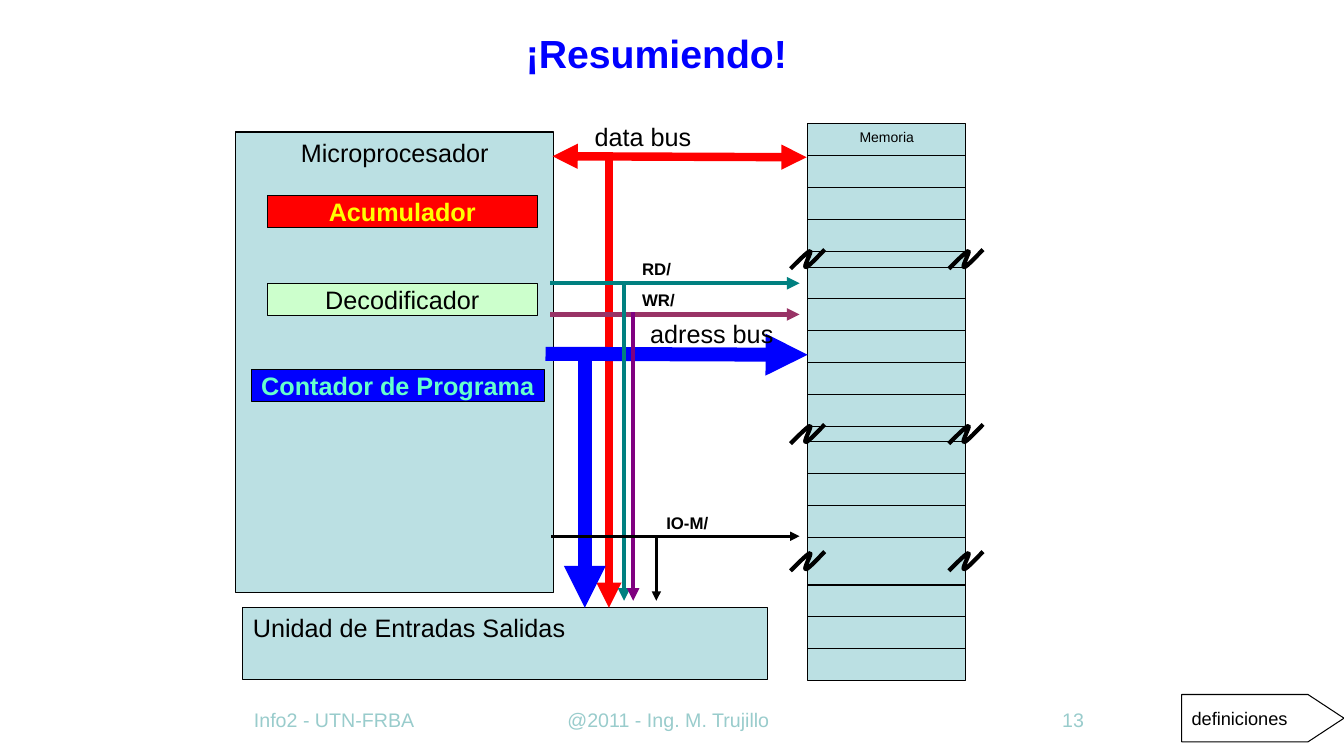
from lxml import etree
from pptx import Presentation
from pptx.dml.color import RGBColor
from pptx.enum.shapes import MSO_CONNECTOR, MSO_SHAPE
from pptx.enum.text import MSO_ANCHOR, MSO_AUTO_SIZE, PP_ALIGN
from pptx.oxml.ns import qn
from pptx.util import Inches, Pt

LEFT, CENTER, RIGHT = PP_ALIGN.LEFT, PP_ALIGN.CENTER, PP_ALIGN.RIGHT
TOP, MIDDLE, BOTTOM = MSO_ANCHOR.TOP, MSO_ANCHOR.MIDDLE, MSO_ANCHOR.BOTTOM
RECTANGLE, PENTAGON = MSO_SHAPE.RECTANGLE, MSO_SHAPE.PENTAGON
STRAIGHT = MSO_CONNECTOR.STRAIGHT

COLORS = {
    "black": "000000", "blue": "0000FF", "red": "FF0000", "yellow": "FFFF00",
    "panel": "BBE0E3", "mint": "CCFFCC", "aqua": "66FFCC", "footer": "99CCCC",
    "teal": "008080", "plum": "993366", "purple": "800080",
}

TITLE = ("¡Resumiendo!", (4.78, 0.24, 3.46, 0.57))
MEMORY = (8.01, 1.23, 1.57, 5.52)

# text, box, fill, format, alignment, anchor
BOXES = [
    ("Memoria", MEMORY, "panel", {"size": 10}, CENTER, TOP),
    ("Unidad de Entradas Salidas", (2.41, 6.03, 5.2, 0.71), "panel", {"size": 18}, LEFT, TOP),
    ("Microprocesador", (2.34, 1.31, 3.15, 4.57), "panel", {"size": 18}, CENTER, TOP),
    ("Acumulador", (2.65, 1.94, 2.68, 0.32), "red",
     {"size": 18, "bold": True, "color": "yellow"}, CENTER, MIDDLE),
    ("Decodificador", (2.65, 2.81, 2.68, 0.32), "mint", {"size": 18}, CENTER, MIDDLE),
    ("Contador de Programa", (2.49, 3.67, 2.91, 0.31), "blue",
     {"size": 18, "bold": True, "color": "aqua"}, CENTER, MIDDLE),
]

# start, end, color, width, arrowhead at both ends
BUSES = [
    ((6.04, 1.55), (6.04, 6.03), "red", 6, False),
    ((5.48, 1.55), (8.0, 1.56), "red", 6, True),
    ((5.48, 3.51), (8.01, 3.52), "blue", 10, False),
    ((5.8, 3.59), (5.8, 6.03), "blue", 10, False),
    ((5.48, 2.81), (7.93, 2.81), "teal", 3, False),
    ((5.48, 3.12), (7.93, 3.12), "plum", 3, False),
    ((6.19, 2.81), (6.19, 5.96), "teal", 3, False),
    ((6.28, 3.12), (6.28, 5.96), "purple", 3, False),
    ((5.48, 5.32), (7.93, 5.32), "black", 2.25, False),
    ((6.51, 5.32), (6.51, 5.96), "black", 2.25, False),
]

# lines of text, box, format, alignment, anchor
LABELS = [
    (["data bus"], (5.8, 1.15, 1.5, 0.4), {"size": 18}, LEFT, TOP),
    (["adress bus"], (6.35, 3.11, 1.5, 0.4), {"size": 18}, LEFT, TOP),
    (["RD/", "WR/"], (6.27, 2.52, 1.1, 0.62), {"size": 12, "bold": True}, LEFT, TOP),
    (["IO-M/"], (6.51, 5.04, 1.42, 0.31), {"size": 12, "bold": True}, LEFT, TOP),
    (["Info2 - UTN-FRBA"], (2.42, 6.87, 2.02, 0.44),
     {"size": 14, "color": "footer"}, LEFT, BOTTOM),
    (["@2011 - Ing. M. Trujillo"], (5.08, 6.87, 3.1, 0.44),
     {"size": 14, "color": "footer"}, CENTER, BOTTOM),
    (["13"], (8.83, 6.87, 2.02, 0.44), {"size": 14, "color": "footer"}, RIGHT, BOTTOM),
]

# Memory height is 35 half cells; each break mark fills one half cell
HALF_CELLS = 35
DIVIDERS = [2, 4, 6, 8, 9, 11, 13, 15, 17, 19, 20, 22, 24, 26, 29, 31, 33]
BREAKS = [8, 19, 27]
CELL_BLOCK = (20, 26)
BREAK_SIZE = (0.31, 0.16)
# Break mark as fractions of its width and height: start, then cubic curves
BREAK_START = (0, 1)
BREAK_CURVES = [
    ((0.26, 0.5), (0.52, 0), (0.58, 0)),
    ((0.65, 0), (0.35, 1), (0.44, 1)),
    ((0.52, 1), (0.9, 0.19), (1, 0)),
]


def rgb(name):
    return RGBColor.from_string(COLORS[name])


def inches(values):
    return [Inches(value) for value in values]


def write(shape, lines, style, alignment, anchor):
    frame = shape.text_frame
    settings = {"word_wrap": True, "auto_size": MSO_AUTO_SIZE.NONE, "vertical_anchor": anchor,
                "margin_left": Inches(0.1), "margin_right": Inches(0.1),
                "margin_top": Inches(0.05), "margin_bottom": Inches(0.05)}
    for name, value in settings.items():
        setattr(frame, name, value)
    font_format = {"name": "Arial", "size": Pt(style["size"]), "bold": style.get("bold", False)}
    for index, line in enumerate(lines):
        paragraph = frame.add_paragraph() if index else frame.paragraphs[0]
        paragraph.text = line
        paragraph.alignment = alignment
        paragraph.space_before = Pt(7.5 if index else 0)
        for name, value in font_format.items():
            setattr(paragraph.font, name, value)
        paragraph.font.color.rgb = rgb(style.get("color", "black"))


def outline(shape, color="black", width=0.75, cap="flat"):
    shape.line.color.rgb = rgb(color)
    shape.line.width = Pt(width)
    shape.line._get_or_add_ln().set("cap", cap)


def add_box(slide, kind, box, fill=None):
    shape = slide.shapes.add_shape(kind, *inches(box))
    shape.shadow.inherit = False
    if fill:
        shape.fill.solid()
        shape.fill.fore_color.rgb = rgb(fill)
    else:
        shape.fill.background()
    outline(shape)
    return shape


def add_line(slide, start, end, color="black", width=0.75, cap="flat", arrow_ends=()):
    """Draw a straight line; arrow_ends holds headEnd (start) and tailEnd (end)."""
    connector = slide.shapes.add_connector(STRAIGHT, *inches(start + end))
    outline(connector, color, width, cap)
    line_xml = connector.line._get_or_add_ln()
    for end_name in arrow_ends:
        etree.SubElement(line_xml, qn("a:" + end_name), type="triangle")
    etree.SubElement(connector._element.spPr, qn("a:effectLst"))


def add_break(slide, center_x, top):
    """Draw a break mark: straight segments first, each then bent into a cubic curve."""
    width, height = inches(BREAK_SIZE)
    left, top = Inches(center_x) - width // 2, Inches(top)

    def place(point):
        return left + int(point[0] * width), top + int(point[1] * height)

    builder = slide.shapes.build_freeform(*place(BREAK_START), scale=1.0)
    builder.add_line_segments([place(curve[-1]) for curve in BREAK_CURVES], close=False)
    mark = builder.convert_to_shape()
    segments = list(mark._element.iter(qn("a:lnTo")))
    for segment, curve in zip(segments, BREAK_CURVES):
        segment.tag = qn("a:cubicBezTo")
        for child in list(segment):
            segment.remove(child)
        for x, y in curve:
            etree.SubElement(segment, qn("a:pt"), x=str(int(x * width)), y=str(int(y * height)))
    mark.shadow.inherit = False
    mark.fill.background()
    outline(mark, width=3, cap="sq")


def add_memory_cells(slide):
    left, top, width, height = MEMORY
    right = left + width
    half_cell = height / HALF_CELLS
    first, last = CELL_BLOCK
    block = (left, top + first * half_cell, width, (last - first) * half_cell)
    add_box(slide, RECTANGLE, block, "panel")
    for index in DIVIDERS:
        y = top + index * half_cell
        add_line(slide, (left, y), (right, y))
    for index in BREAKS:
        for side in (left, right):
            add_break(slide, side, top + index * half_cell)


def main():
    presentation = Presentation()
    presentation.slide_width, presentation.slide_height = inches((13.33, 7.5))
    slide = presentation.slides.add_slide(presentation.slide_layouts[5])

    title_text, title_box = TITLE
    title = slide.shapes.title
    title.left, title.top, title.width, title.height = inches(title_box)
    write(title, [title_text], {"size": 28, "bold": True, "color": "blue"}, CENTER, TOP)

    for text, box, fill, style, alignment, anchor in BOXES:
        write(add_box(slide, RECTANGLE, box, fill), [text], style, alignment, anchor)
    add_memory_cells(slide)
    for start, end, color, width, both_ends in BUSES:
        arrow_ends = ("headEnd", "tailEnd") if both_ends else ("tailEnd",)
        add_line(slide, start, end, color, width, "sq", arrow_ends)
    for lines, box, style, alignment, anchor in LABELS:
        write(slide.shapes.add_textbox(*inches(box)), lines, style, alignment, anchor)

    definitions = add_box(slide, PENTAGON, (11.72, 6.89, 1.61, 0.47))
    definitions.adjustments[0] = 0.76
    write(definitions, ["definiciones"], {"size": 13}, LEFT, MIDDLE)

    presentation.save("out.pptx")


if __name__ == "__main__":
    main()
